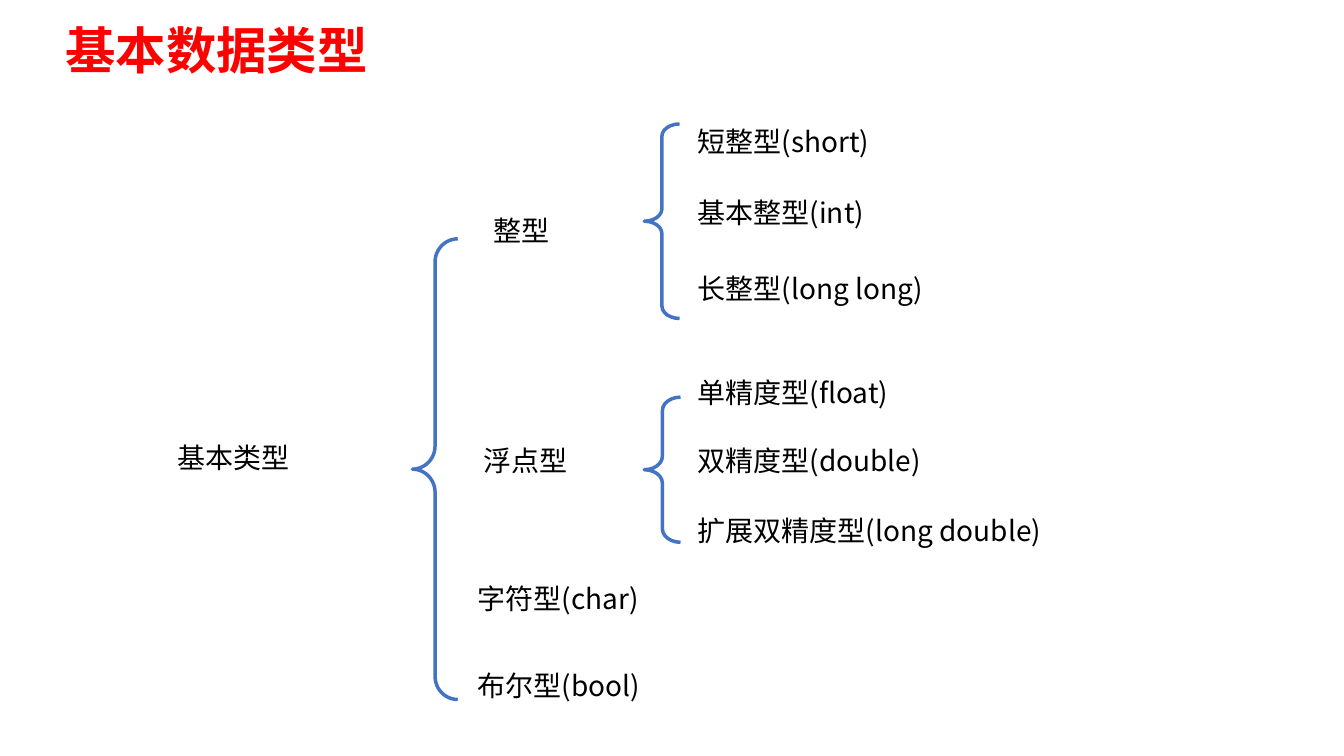
"""Build a slide that shows the tree of basic data types."""
from dataclasses import dataclass

import lxml.etree
import pptx
import pptx.dml.color
import pptx.enum.shapes
import pptx.enum.text
import pptx.oxml.ns
import pptx.slide
import pptx.util

Inches = pptx.util.Inches
RED = pptx.dml.color.RGBColor(0xFF, 0x00, 0x00)
BLACK = pptx.dml.color.RGBColor(0x00, 0x00, 0x00)
BLUE = pptx.dml.color.RGBColor(0x44, 0x72, 0xC4)
FONT = "Noto Sans CJK SC"


@dataclass
class Label:
    text: str
    left: float
    top: float
    width: float
    height: float = 0.44
    size: int = 20
    color: pptx.dml.color.RGBColor = BLACK
    bold: bool = False


@dataclass
class Brace:
    left: float
    top: float
    width: float
    height: float
    curve: float


LEAF_LEFT = 6.82
SIMPLE_LEFT = 4.64

LABELS = [
    Label("基本数据类型", 0.55, 0.14, 11.33, 0.71, 36, RED, True),
    Label("基本类型", 1.66, 4.32, 2.14),
    Label("整型", 4.8, 2.07, 1.33),
    Label("短整型(short)", LEAF_LEFT, 1.19, 2.87),
    Label("基本整型(int)", LEAF_LEFT, 1.89, 2.63),
    Label("长整型(long long)", LEAF_LEFT, 2.64, 3.53),
    Label("浮点型", 4.7, 4.35, 1.85),
    Label("单精度型(float)", LEAF_LEFT, 3.68, 3.28),
    Label("双精度型(double)", LEAF_LEFT, 4.35, 3.9),
    Label("扩展双精度型(long double)", LEAF_LEFT, 5.05, 5.31),
    Label("字符型(char)", SIMPLE_LEFT, 5.72, 2.46),
    Label("布尔型(bool)", SIMPLE_LEFT, 6.58, 2.46),
]

BRACES = [
    Brace(4.09, 2.37, 0.45, 4.57, 0.51),
    Brace(6.39, 1.23, 0.35, 1.93, 0.35),
    Brace(6.39, 3.94, 0.36, 1.44, 0.37),
]


def draw_label(slide: pptx.slide.Slide, label: Label) -> None:
    shape = slide.shapes.add_textbox(
        Inches(label.left), Inches(label.top), Inches(label.width), Inches(label.height)
    )
    frame = shape.text_frame
    frame.word_wrap = True
    frame.auto_size = pptx.enum.text.MSO_AUTO_SIZE.SHAPE_TO_FIT_TEXT
    paragraph = frame.paragraphs[0]
    paragraph.text = label.text
    font = paragraph.font
    font.size = pptx.util.Pt(label.size)
    font.bold = label.bold
    font.color.rgb = label.color
    font.name = FONT
    for latin in paragraph._p.iter(pptx.oxml.ns.qn("a:latin")):
        east_asian = lxml.etree.Element(pptx.oxml.ns.qn("a:ea"), typeface=FONT)
        latin.addnext(east_asian)


def draw_brace(slide: pptx.slide.Slide, brace: Brace) -> None:
    shape = slide.shapes.add_shape(
        pptx.enum.shapes.MSO_SHAPE.LEFT_BRACE,
        Inches(brace.left), Inches(brace.top), Inches(brace.width), Inches(brace.height),
    )
    shape.adjustments[0] = brace.curve
    shape.adjustments[1] = 0.5
    shape.shadow.inherit = False
    shape.fill.background()
    shape.line.color.rgb = BLUE
    shape.line.width = pptx.util.Pt(2.5)


def main() -> None:
    presentation = pptx.Presentation()
    presentation.slide_width = Inches(13.33)
    presentation.slide_height = Inches(7.5)
    slide = presentation.slides.add_slide(presentation.slide_layouts[6])
    for label in LABELS:
        draw_label(slide, label)
    for brace in BRACES:
        draw_brace(slide, brace)
    presentation.save("out.pptx")


if __name__ == "__main__":
    main()
